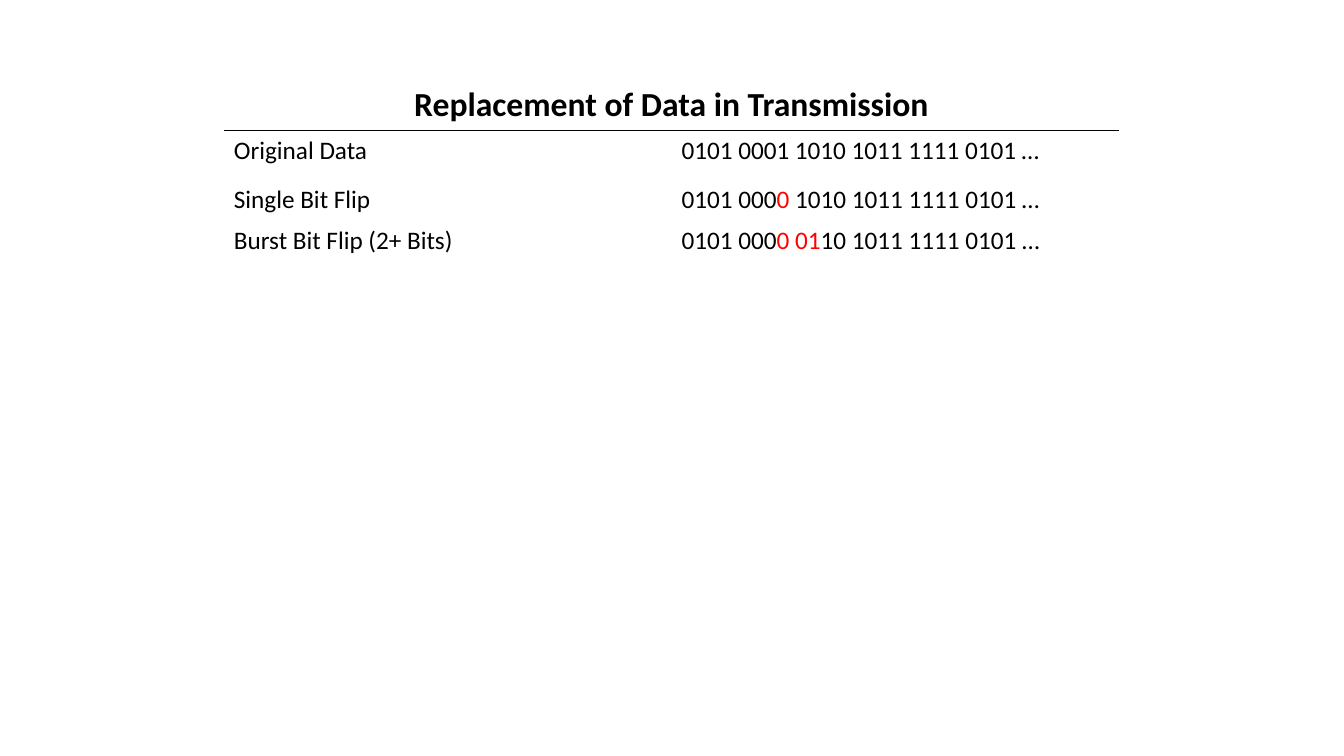
import pptx
import pptx.dml.color
import pptx.enum.text
import pptx.oxml
import pptx.oxml.ns
import pptx.util

Inches = pptx.util.Inches
BLACK, RED = "000000", "FF0000"
TITLE = "Replacement of Data in Transmission"
ROWS = [
    ("Original Data", [("0101 0001 1010 1011 1111 0101 …", BLACK)]),
    ("Single Bit Flip", [("0101 000", BLACK), ("0", RED),
                         (" 1010 1011 1111 0101 …", BLACK)]),
    ("Burst Bit Flip (2+ Bits)", [("0101 000", BLACK), ("0 01", RED),
                                  ("10 1011 1111 0101 …", BLACK)]),
]
HEIGHTS = [0.5, 0.48, 0.41, 0.41]
WIDTH = 4.44


def color(code):
    return pptx.dml.color.RGBColor.from_string(code)


class Deck:
    head = {"size": pptx.util.Pt(24), "bold": True, "name": "Calibri"}
    body = {"size": pptx.util.Pt(18), "bold": False, "name": "Calibri"}

    def __init__(self):
        self.prs = pptx.Presentation()
        self.prs.slide_width = Inches(13.33)
        self.prs.slide_height = Inches(7.5)
        self.slide = self.prs.slides.add_slide(self.prs.slide_layouts[6])

    def table(self, left, top, widths, heights):
        frame = self.slide.shapes.add_table(
            len(heights), len(widths), Inches(left), Inches(top),
            Inches(sum(widths)), Inches(sum(heights)))
        grid = frame.table
        grid.first_row = grid.horz_banding = False
        for col, width in zip(grid.columns, widths):
            col.width = Inches(width)
        for row, height in zip(grid.rows, heights):
            row.height = Inches(height)
        return grid

    def border(self, cell, sides):
        """Rule the named sides in black and clear the others."""
        props = cell._tc.get_or_add_tcPr()
        for side in "LRTB":
            fill = (f'<a:solidFill><a:srgbClr val="{BLACK}"/></a:solidFill>'
                    if side in sides else "<a:noFill/>")
            props.append(pptx.oxml.parse_xml(
                f'<a:ln{side} {pptx.oxml.ns.nsdecls("a")} w="12700">'
                f'{fill}</a:ln{side}>'))

    def cell(self, cell, runs, style, sides=""):
        self.border(cell, sides)
        cell.fill.background()
        para = cell.text_frame.paragraphs[0]
        for text, code in runs:
            run = para.add_run()
            run.text = text
            for key, value in style.items():
                setattr(run.font, key, value)
            run.font.color.rgb = color(code)
        return para


def main():
    deck = Deck()
    grid = deck.table(2.22, 0.79, [WIDTH] * 2, HEIGHTS)
    grid.cell(0, 0).merge(grid.cell(0, 1))
    title = deck.cell(grid.cell(0, 0), [(TITLE, BLACK)], deck.head, "B")
    title.alignment = pptx.enum.text.PP_ALIGN.CENTER
    deck.cell(grid.cell(0, 1), [], deck.head, "B")
    for row, (label, bits) in enumerate(ROWS, 1):
        sides = "T" if row == 1 else ""
        deck.cell(grid.cell(row, 0), [(label, BLACK)], deck.body, sides)
        deck.cell(grid.cell(row, 1), bits, deck.body, sides)
    deck.prs.save("out.pptx")


if __name__ == "__main__":
    main()
